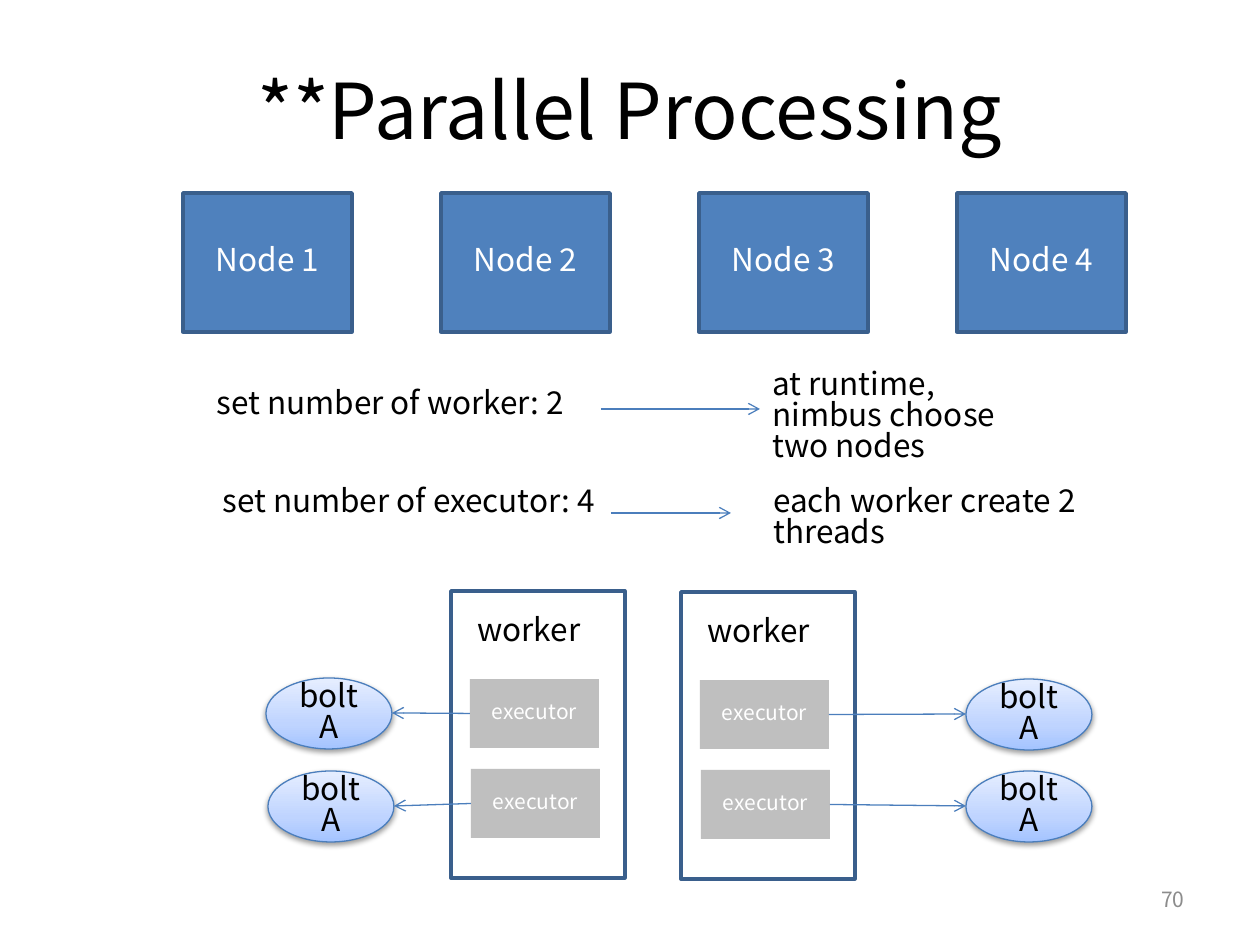
import copy

import pptx
import pptx.dml.color
import pptx.enum.shapes
import pptx.enum.text
import pptx.oxml.ns
import pptx.util
from lxml import etree

PX = 914400 // 126
FONT = "Noto Sans CJK KR"
KIND = pptx.enum.shapes.MSO_SHAPE
ALIGN = pptx.enum.text.PP_ALIGN
ANCHOR = pptx.enum.text.MSO_ANCHOR


def color(code):
    return pptx.dml.color.RGBColor.from_string(code)


def child(node, tag, **attrs):
    return etree.SubElement(node, pptx.oxml.ns.qn(tag), attrs)


def write(shape, text, size=18, ink="000000", align=ALIGN.CENTER,
          anchor=ANCHOR.MIDDLE, space=0.83):
    frame = shape.text_frame
    frame.word_wrap = True
    frame.vertical_anchor = anchor
    para = frame.paragraphs[0]
    para.alignment = align
    para.line_spacing = space
    run = para.add_run()
    run.text = text
    run.font.size = pptx.util.Pt(size)
    run.font.name = FONT
    run.font.color.rgb = color(ink)
    # The same face for East Asian text
    child(run.font._element, "a:ea", typeface=FONT)


class Deck:
    blue, edge, thin, gray = "4F81BD", "3A5F8C", "4B7EBC", "BFBFBF"
    shades = [(0, "A4C4FF"), (0.35, "BFD4FF"), (1, "E6EEFF")]

    def __init__(self):
        self.file = pptx.Presentation()
        self.file.slide_width = pptx.util.Inches(10)
        self.file.slide_height = pptx.util.Inches(7.5)
        self.slide = self.file.slides.add_slide(self.file.slide_layouts[6])

    def label(self, text, x, y, w, h, **style):
        box = self.slide.shapes.add_textbox(x * PX, y * PX, w * PX, h * PX)
        write(box, text, **style)

    def note(self, text, x, y, w, h):
        self.label(text, x, y, w, h, align=ALIGN.LEFT, anchor=ANCHOR.TOP)

    def shape(self, kind, x, y, w, h, fill=None, line=None, width=2):
        item = self.slide.shapes.add_shape(kind, x * PX, y * PX, w * PX, h * PX)
        item.shadow.inherit = False
        if fill:
            item.fill.solid()
            item.fill.fore_color.rgb = color(fill)
        else:
            item.fill.background()
        if line:
            item.line.color.rgb = color(line)
            item.line.width = pptx.util.Pt(width)
        else:
            item.line.fill.background()
        return item

    def node(self, text, x, y):
        item = self.shape(KIND.RECTANGLE, x, y, 169, 139, self.blue, self.edge)
        write(item, text, ink="FFFFFF")

    def task(self, x, y):
        item = self.shape(KIND.RECTANGLE, x, y, 129, 69, self.gray)
        write(item, "executor", size=12, ink="FFFFFF")
        return item

    def bolt(self, x, y):
        item = self.shape(KIND.OVAL, x, y, 126, 71, line=self.thin, width=0.75)
        # Three-stop gradient, darkest at the bottom
        item.fill.gradient()
        item.fill.gradient_angle = 90
        stop = item._element.spPr.find(".//" + pptx.oxml.ns.qn("a:gs"))
        stop.addnext(copy.deepcopy(stop))
        for part, (place, shade) in zip(item.fill.gradient_stops, self.shades):
            part.position = place
            part.color.rgb = color(shade)
        # Soft shadow below
        effect = item._element.spPr.find(pptx.oxml.ns.qn("a:effectLst"))
        cast = child(effect, "a:outerShdw", blurRad="40000", dist="20000",
                     dir="5400000", rotWithShape="0")
        child(child(cast, "a:srgbClr", val="000000"), "a:alpha", val="38000")
        write(item, "bolt A")

    def arrow(self, x1, y1, x2, y2, start=None, side=0):
        line = self.slide.shapes.add_connector(
            pptx.enum.shapes.MSO_CONNECTOR.STRAIGHT,
            x1 * PX, y1 * PX, x2 * PX, y2 * PX)
        if start is not None:
            line.begin_connect(start, side)
        line.line.color.rgb = color(self.thin)
        line.line.width = pptx.util.Pt(0.75)
        child(line.line._get_or_add_ln(), "a:tailEnd", type="arrow")
        child(line._element.spPr, "a:effectLst")


def main():
    deck = Deck()

    # Title and nodes
    deck.label("**Parallel Processing", 63, 38, 1134, 157, size=44)
    for i in range(4):
        deck.node(f"Node {i + 1}", 183 + 258 * i, 193)

    # Settings and their effects
    deck.note("set number of worker: 2", 204, 383, 397, 50)
    deck.note("set number of executor: 4", 210, 481, 431, 50)
    deck.note("at runtime, nimbus choose two nodes", 760, 364, 297, 89)
    deck.note("each worker create 2 threads", 761, 481, 392, 89)
    deck.arrow(601, 409, 760, 409)
    deck.arrow(611, 513, 731, 513)

    # Workers: left edge, top, arrow side, then bolt corners
    workers = [
        (451, 591, 1, [(266, 678), (268, 771)]),
        (681, 592, 3, [(966, 679), (966, 771)]),
    ]
    for x, y, side, bolts in workers:
        deck.shape(KIND.RECTANGLE, x, y, 174, 287, line=deck.edge)
        deck.note("worker", x + 14, y + 19, 159, 50)
        for i, (left, top) in enumerate(bolts):
            tx, ty = x + 19 + i, y + 88 + 90 * i
            task = deck.task(tx, ty)
            deck.bolt(left, top)
            begin, end = (tx, left + 126) if side == 1 else (tx + 129, left)
            deck.arrow(begin, ty + 35, end, top + 35, task, side)

    # Slide number
    deck.label("70", 903, 876, 294, 50, size=12, ink="8C8C8C",
               align=ALIGN.RIGHT)

    deck.file.save("out.pptx")


if __name__ == "__main__":
    main()
